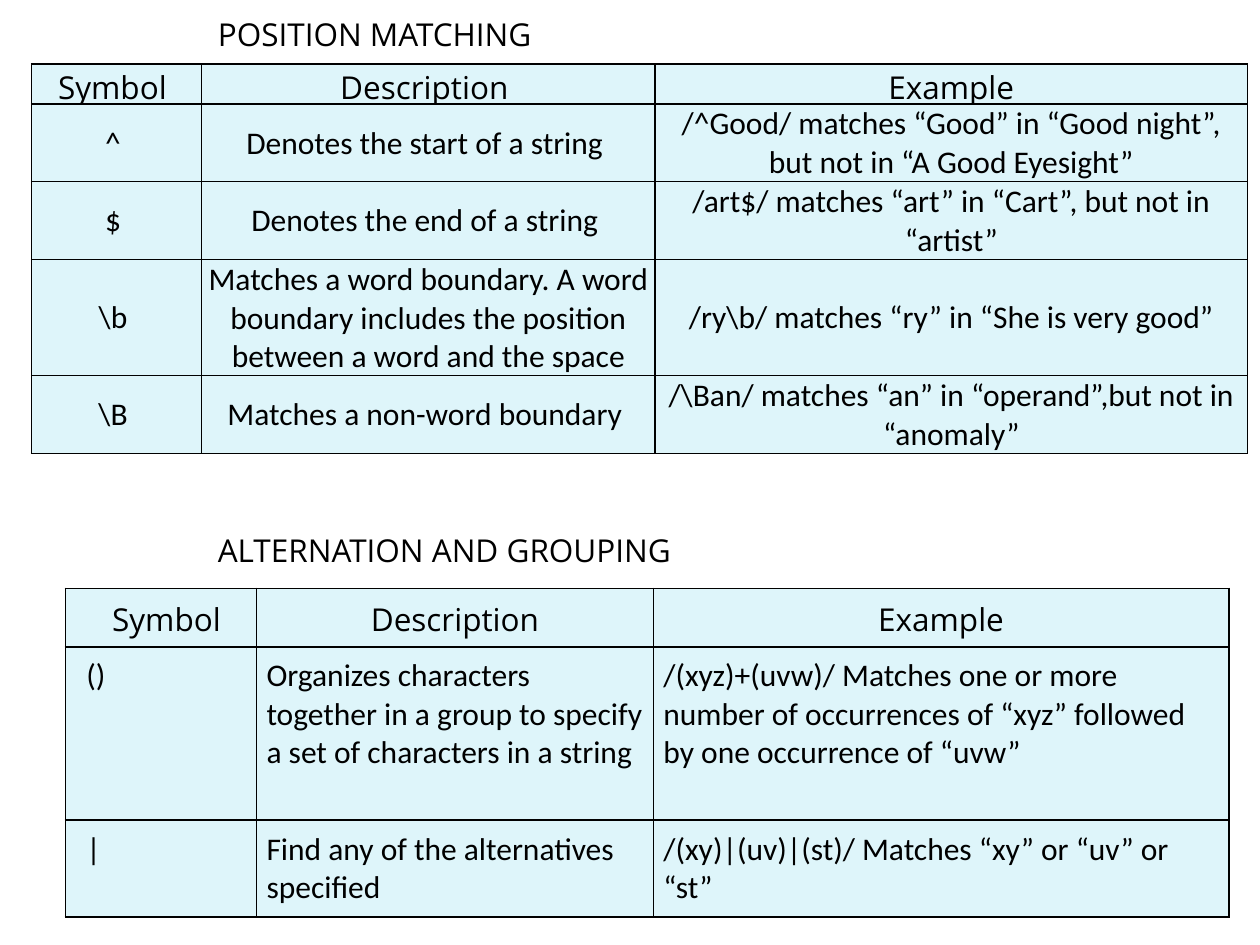
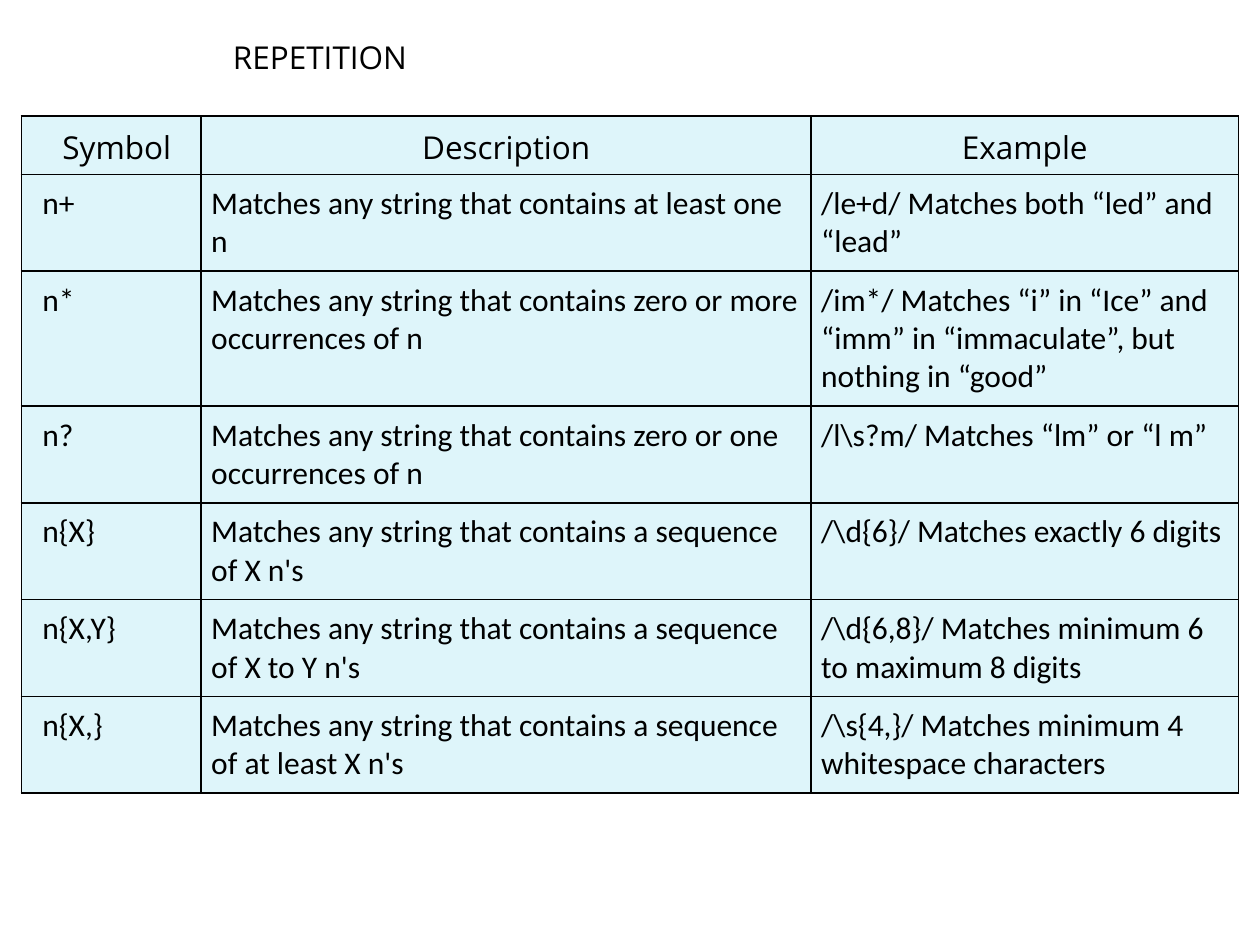
from collections import namedtuple

from lxml.etree import SubElement
from pptx import Presentation
from pptx.dml.color import RGBColor
from pptx.enum.text import MSO_ANCHOR as Anchor, PP_ALIGN as Align
from pptx.oxml.ns import qn
from pptx.util import Pt

Box = namedtuple("Box", "left top width height")

BLACK = RGBColor(0x00, 0x00, 0x00)
PALE_BLUE = RGBColor(0xDE, 0xF5, 0xFA)

HEADING_FONT, BODY_FONT = "Open Sans", "Calibri"
TEXT_SIZE = Pt(18)
LINE_HEIGHT = 21.9
BORDER = Pt(1)

# Cell formats: tight centred cells, and roomy cells with left-aligned text
TIGHT = {
    "body_align": Align.CENTER,
    "padding": 0.7,
    "first_indent": 0.7,
    "cell": {"vertical_anchor": Anchor.MIDDLE, "margin_right": Pt(0.7),
             "margin_top": Pt(0.7), "margin_bottom": Pt(0)},
}
ROOMY = {
    "body_align": Align.LEFT,
    "padding": 11.5,
    "first_indent": 12,
    "cell": {"vertical_anchor": Anchor.TOP, "margin_left": Pt(5.75), "margin_right": Pt(5.75),
             "margin_top": Pt(5.75), "margin_bottom": Pt(5.75)},
}

# Each table: rows of (lines of text in the row, cells)
POSITION_ROWS = [
    (1, ("Symbol ", "Description ", "Example")),
    (2, ("^ ", "Denotes the start of a string ",
         "/^Good/ matches “Good” in “Good night”, but not in “A Good Eyesight”")),
    (2, ("$ ", "Denotes the end of a string ",
         "/art$/ matches “art” in “Cart”, but not in “artist”")),
    (3, (r"\b ", "Matches a word boundary. A word boundary includes "
         "the position between a word and the space",
         r"/ry\b/ matches “ry” in “She is very good”")),
    (2, (r"\B ", "Matches a non-word boundary ",
         r"/\Ban/ matches “an” in “operand”,but not in “anomaly”")),
]
GROUPING_ROWS = [
    (1, ("Symbol", "Description", "Example")),
    (4, ("()", "Organizes characters together in a group to specify "
         "a set of characters in a string",
         "/(xyz)+(uvw)/ Matches one or more number of occurrences of “xyz” "
         "followed by one occurrence of “uvw”")),
    (2, ("|", "Find any of the alternatives specified",
         "/(xy)|(uv)|(st)/ Matches “xy” or “uv” or “st”")),
]
ANY_STRING = "Matches any string that contains "
REPETITION_ROWS = [
    (1, ("Symbol", "Description", "Example")),
    (2, ("n+", ANY_STRING + "at least one n", "/le+d/ Matches both “led” and “lead”")),
    (3, ("n*", ANY_STRING + "zero or more occurrences of n",
         "/im*/ Matches “i” in “Ice” and “imm” in “immaculate”, but nothing in “good”")),
    (2, ("n?", ANY_STRING + "zero or one occurrences of n",
         r"/l\s?m/ Matches “lm” or “l m”")),
    (2, ("n{X}", ANY_STRING + "a sequence of X n's",
         r"/\d{6}/ Matches exactly 6 digits")),
    (2, ("n{X,Y}", ANY_STRING + "a sequence of X to Y n's",
         r"/\d{6,8}/ Matches minimum 6 to maximum 8 digits")),
    (2, ("n{X,}", ANY_STRING + "a sequence of at least X n's",
         r"/\s{4,}/ Matches minimum 4 whitespace characters")),
]


def set_attributes(target, values):
    for name, value in values.items():
        setattr(target, name, value)


def write_text(para, text, font_name):
    span = para.add_run()
    span.text = text
    set_attributes(span.font, {"name": font_name, "size": TEXT_SIZE})
    span.font.color.rgb = BLACK


def add_borders(cell):
    # Borders go in before the fill, as the cell format requires
    properties = cell._tc.get_or_add_tcPr()
    for side in ("a:lnL", "a:lnR", "a:lnT", "a:lnB"):
        line = SubElement(properties, qn(side), w=str(BORDER))
        fill = SubElement(line, qn("a:solidFill"))
        SubElement(fill, qn("a:srgbClr"), val=str(BLACK))


def draw_title(page, box, text):
    title = page.shapes.add_textbox(*map(Pt, box))
    title.text_frame.word_wrap = False
    write_text(title.text_frame.paragraphs[0], text, HEADING_FONT)


def format_cell(cell, text, is_header, is_first, style):
    set_attributes(cell, style["cell"])
    if is_first or style is TIGHT:
        cell.margin_left = Pt(style["first_indent"])
    add_borders(cell)
    cell.fill.solid()
    cell.fill.fore_color.rgb = PALE_BLUE
    para = cell.text_frame.paragraphs[0]
    para.alignment = Align.CENTER if is_header else style["body_align"]
    write_text(para, text, HEADING_FONT if is_header else BODY_FONT)


def draw_symbol_table(page, left, top, widths, rows, style):
    heights = [lines * LINE_HEIGHT + style["padding"] for lines, _ in rows]
    box = Box(left, top, sum(widths), sum(heights))
    table = page.shapes.add_table(len(rows), len(widths), *map(Pt, box)).table
    set_attributes(table, {"first_row": False, "horz_banding": False})
    for column, width in zip(table.columns, widths):
        column.width = Pt(width)
    for row_index, (_, texts) in enumerate(rows):
        table.rows[row_index].height = Pt(heights[row_index])
        for column_index, text in enumerate(texts):
            format_cell(table.cell(row_index, column_index), text,
                        row_index == 0, column_index == 0, style)


def build_position_and_grouping(page):
    draw_title(page, Box(117.4, 5, 252, 29), "POSITION MATCHING")
    draw_symbol_table(page, 18, 36.7, (97.2, 259.2, 338.4), POSITION_ROWS, TIGHT)
    draw_title(page, Box(117.4, 300, 353.5, 29), "ALTERNATION AND GROUPING")
    draw_symbol_table(page, 37.4, 336.2, (109.2, 226.8, 328.8), GROUPING_ROWS, ROOMY)


def build_repetition(page):
    draw_title(page, Box(126, 18, 157.7, 29), "REPETITION")
    draw_symbol_table(page, 12.2, 66.2, (102.8, 348.6, 244.2), REPETITION_ROWS, ROOMY)


def main():
    deck = Presentation()
    set_attributes(deck, {"slide_width": Pt(720), "slide_height": Pt(540)})
    blank = deck.slide_layouts[6]
    for build in (build_position_and_grouping, build_repetition):
        build(deck.slides.add_slide(blank))
    deck.save("out.pptx")


if __name__ == "__main__":
    main()
